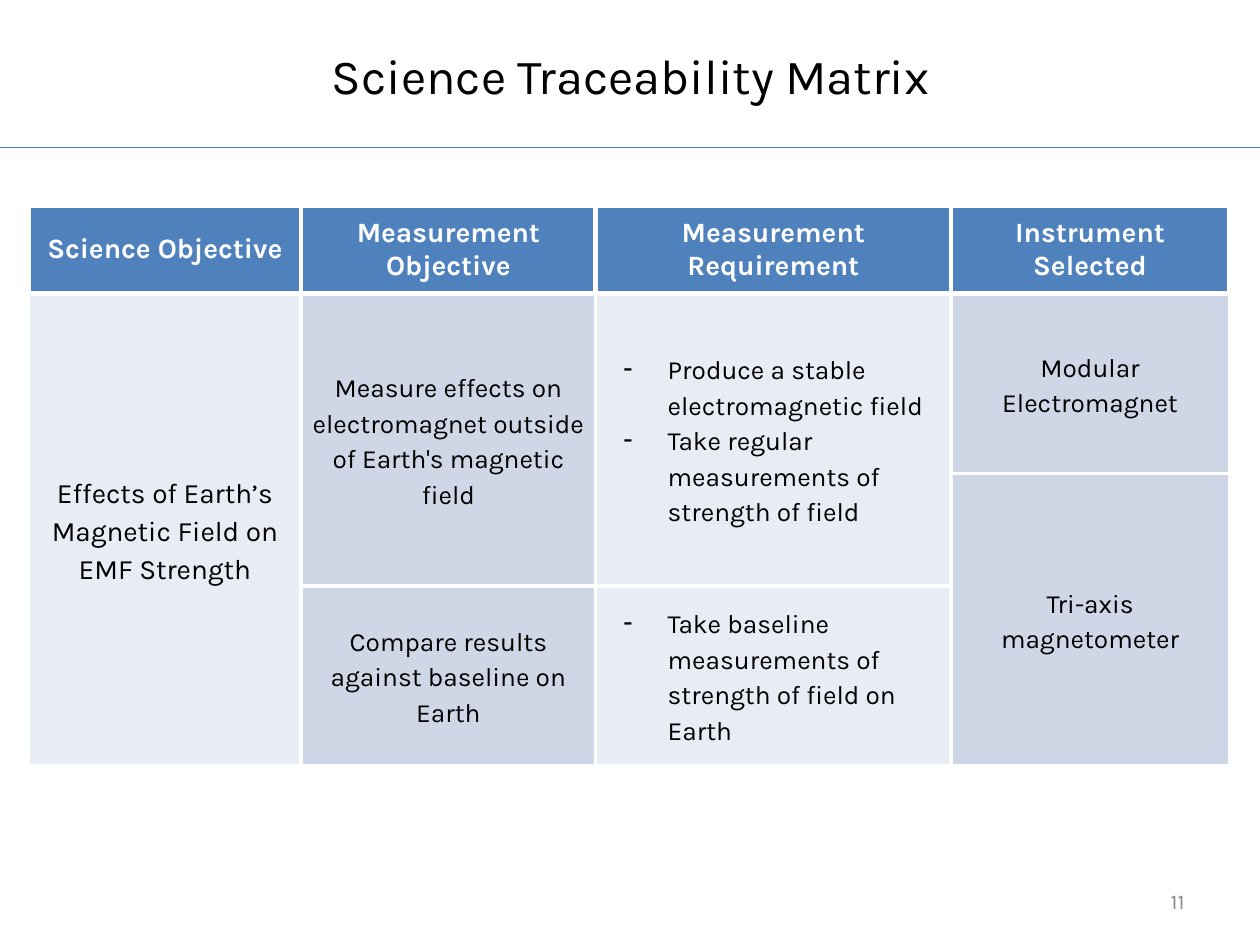
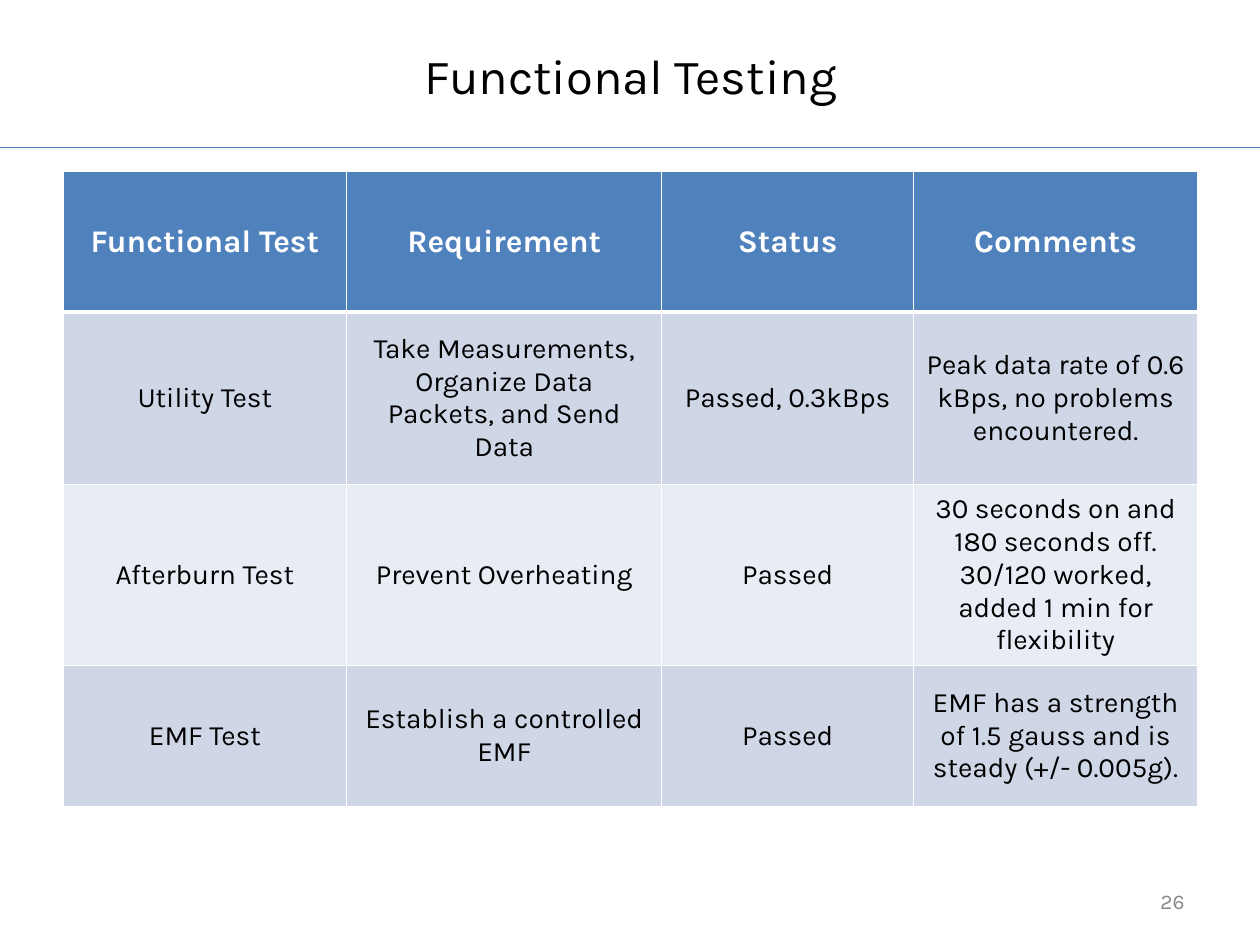
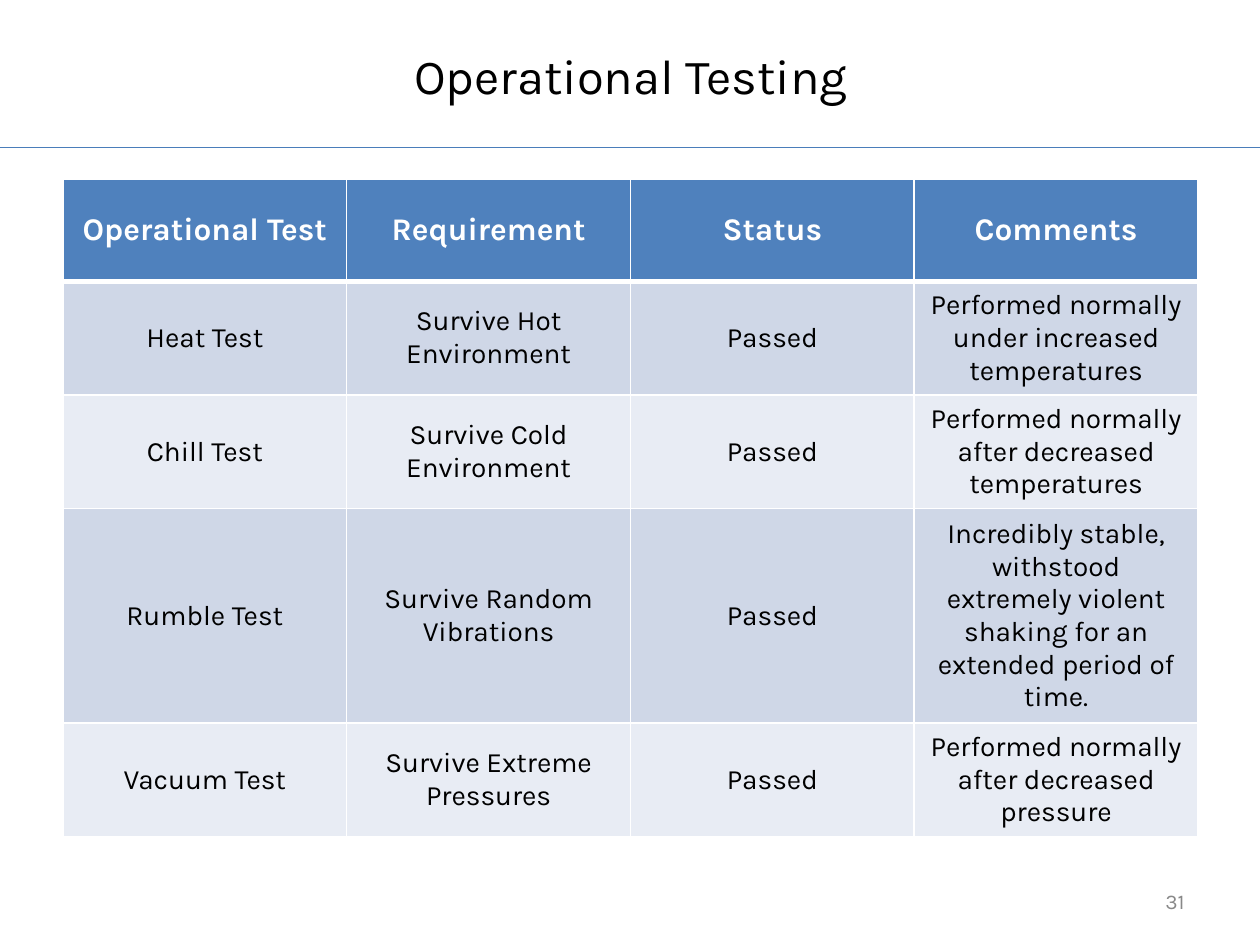
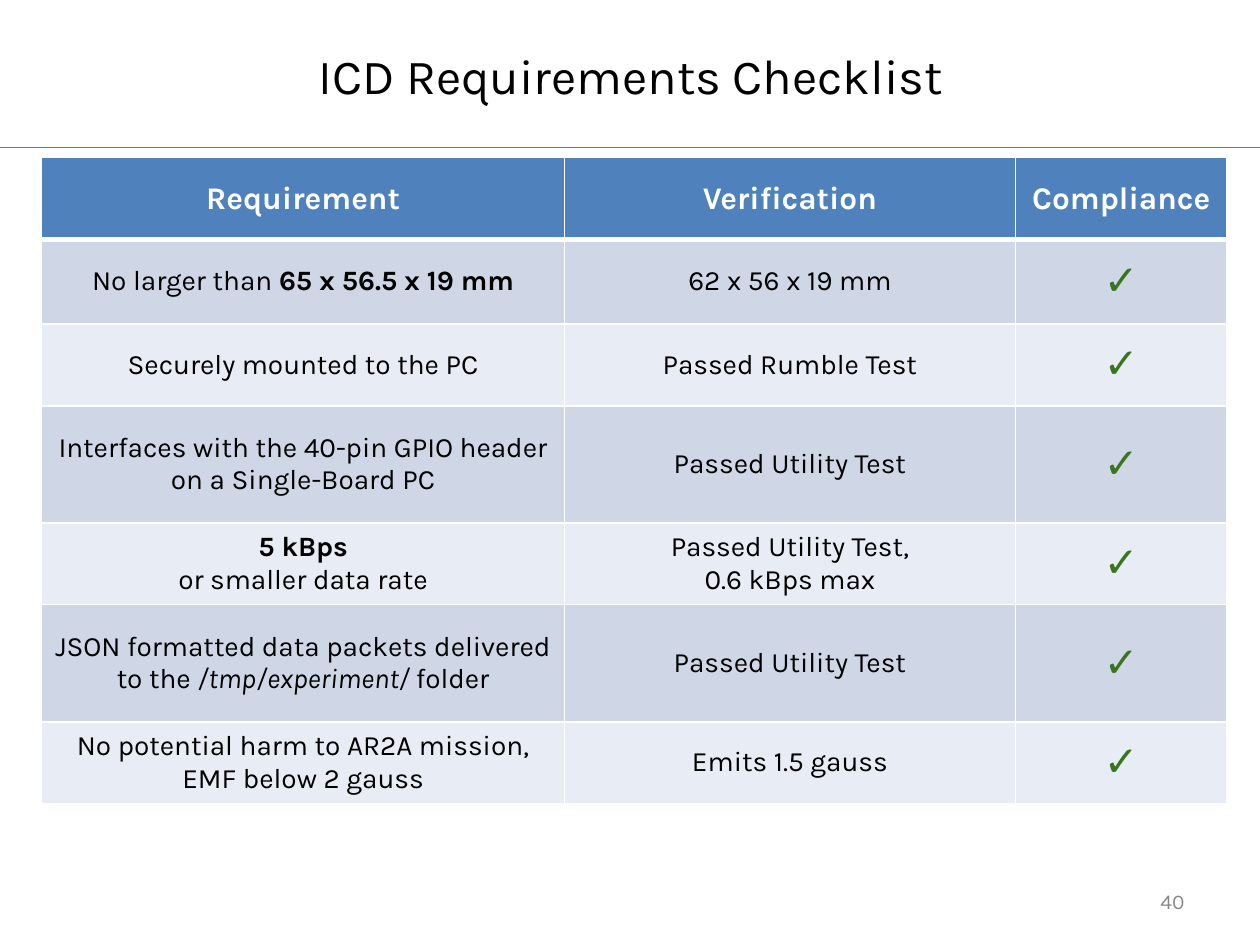
from dataclasses import dataclass
from typing import Optional

from lxml.etree import SubElement as Sub
from pptx import Presentation
from pptx.dml.color import RGBColor as Rgb
from pptx.enum.shapes import MSO_CONNECTOR as Connector
from pptx.enum.text import MSO_ANCHOR as Anchor, PP_ALIGN as Align
from pptx.oxml import parse_xml
from pptx.oxml.ns import nsdecls, qn
from pptx.util import Cm, Pt


@dataclass(frozen=True)
class Theme:
    font: str = "Karla"
    ink: str = "000000"
    white: str = "FFFFFF"
    grey: str = "888888"
    rule: str = "4A7DBA"
    header: str = "4F81BD"
    tint: str = "CFD7E7"
    pale: str = "E8ECF4"
    green: str = "38761D"
    title_size: float = 28
    number_size: float = 12
    check_size: float = 24
    header_size: float = 18
    body_size: float = 16
    small_size: float = 15
    header_border: float = 3


THEME = Theme()


@dataclass
class Span:
    text: str
    bold: Optional[bool] = None
    italic: bool = False
    size: Optional[float] = None
    color: Optional[str] = None


@dataclass
class Para:
    spans: list
    dash: bool = False


def dashed(text):
    return Para([Span(text)], dash=True)


def as_para(item):
    if isinstance(item, Para):
        return item
    return Para([Span(item) if isinstance(item, str) else item])


def add_dash(para):
    props = para._p.get_or_add_pPr()
    props.set("marL", str(Cm(1.27)))
    props.set("indent", str(Cm(-0.89)))
    Sub(Sub(props, qn("a:buClr")), qn("a:srgbClr"), val=THEME.ink)
    Sub(props, qn("a:buChar"), char="-")


def write_text(frame, content, *, size, color=THEME.ink, bold=False,
               align=Align.CENTER, spacing=None):
    items = content if isinstance(content, list) else [content]
    for index, item in enumerate(map(as_para, items)):
        para = frame.paragraphs[0] if index == 0 else frame.add_paragraph()
        if item.dash:
            add_dash(para)
        para.alignment = Align.LEFT if item.dash else align
        if spacing:
            para.line_spacing = spacing
        for span in item.spans:
            run = para.add_run()
            run.text = span.text
            run.font.name = THEME.font
            run.font.size = Pt(span.size or size)
            run.font.bold = bold if span.bold is None else span.bold
            run.font.italic = span.italic
            run.font.color.rgb = Rgb.from_string(span.color or color)


def add_page(deck, title, number):
    page = deck.slides.add_slide(deck.slide_layouts[5])
    box = page.shapes.title
    box.left, box.top, box.width, box.height = Cm(3.61), Cm(0.18), Cm(18.21), Cm(2.64)
    box.text_frame.vertical_anchor = Anchor.MIDDLE
    write_text(box.text_frame, title, size=THEME.title_size)

    box = page.shapes.add_textbox(Cm(18.21), Cm(17.65), Cm(5.92), Cm(1.02))
    box.text_frame.word_wrap = True
    box.text_frame.vertical_anchor = Anchor.MIDDLE
    write_text(box.text_frame, str(number), size=THEME.number_size,
               color=THEME.grey, align=Align.RIGHT)
    return page


def move_rule_to_layout(page, width):
    rule = page.shapes.add_connector(Connector.STRAIGHT, 0, Cm(2.97), width, Cm(2.97))
    rule.line.color.rgb = Rgb.from_string(THEME.rule)
    rule.line.width = Pt(0.75)
    Sub(rule.element.spPr, qn("a:effectLst"))
    rule.element.nvCxnSpPr.cNvPr.set("id", "20")
    page.slide_layout.shapes.element.append(rule.element)


def set_borders(cell, **widths):
    props = cell._tc.get_or_add_tcPr()
    for index, side in enumerate("LRTB"):
        props.insert(index, parse_xml(
            f'<a:ln{side} {nsdecls("a")} w="{Pt(widths[side])}"><a:solidFill>'
            f'<a:srgbClr val="{THEME.white}"/></a:solidFill></a:ln{side}>'))


def merge_down(table, rows):
    for top, row in enumerate(rows):
        for column, content in enumerate(row):
            bottom = top
            while bottom + 1 < len(rows) and rows[bottom + 1][column] is None:
                bottom += 1
            if content is not None and bottom > top:
                table.cell(top, column).merge(table.cell(bottom, column))


def add_matrix(page, rows, *, left, top, widths, heights, by_column=False,
               header_size=THEME.header_size, body_size=THEME.body_size,
               border=1, header_side=1, margins=(0.25, 0.13), spacing=None):
    table = page.shapes.add_table(
        len(rows), len(widths), Cm(left), Cm(top),
        Cm(sum(widths)), Cm(sum(heights))).table
    table.horz_banding = False
    for column, width in zip(table.columns, widths):
        column.width = Cm(width)
    for row, height in zip(table.rows, heights):
        row.height = Cm(height)
    for r, row in enumerate(rows):
        for c, content in enumerate(row):
            cell = table.cell(r, c)
            header = r == 0
            pale = (c if by_column else r) % 2 == 0
            fill = THEME.header if header else THEME.pale if pale else THEME.tint
            cell.fill.solid()
            cell.fill.fore_color.rgb = Rgb.from_string(fill)
            cell.vertical_anchor = Anchor.MIDDLE
            cell.margin_left = cell.margin_right = Cm(margins[0])
            cell.margin_top = cell.margin_bottom = Cm(margins[1])
            side = header_side if header else border
            set_borders(cell, L=side, R=side,
                        T=THEME.header_border if r == 1 else side,
                        B=THEME.header_border if header else side)
            if content is None:
                continue
            write_text(cell.text_frame, content, bold=header,
                       size=header_size if header else body_size,
                       color=THEME.white if header else THEME.ink,
                       spacing=None if header else spacing)
    merge_down(table, rows)


def add_traceability(page):
    rows = [
        ["Science Objective", "Measurement Objective",
         "Measurement Requirement", "Instrument Selected"],
        [Span("Effects of Earth’s Magnetic Field on EMF Strength", size=THEME.body_size),
         "Measure effects on electromagnet outside of Earth's magnetic field",
         [dashed("Produce a stable electromagnetic field"),
          dashed("Take regular measurements of strength of field")],
         "Modular Electromagnet"],
        [None, None, None, "Tri-axis magnetometer"],
        [None, "Compare results against baseline on Earth",
         dashed("Take baseline measurements of strength of field on Earth"), None],
    ]
    add_matrix(page, rows, left=0.58, top=4.14,
               widths=[5.49, 5.94, 7.16, 5.61], heights=[1.78, 3.63, 2.26, 3.63],
               by_column=True, header_size=THEME.body_size, body_size=THEME.small_size,
               border=2.25, header_side=3, margins=(0.18, 0), spacing=1.15)


def add_functional_tests(page):
    rows = [
        ["Functional Test", "Requirement", "Status", "Comments"],
        ["Utility Test", "Take Measurements, Organize Data Packets, and Send Data",
         "Passed, 0.3kBps", "Peak data rate of 0.6 kBps, no problems encountered."],
        ["Afterburn Test", "Prevent Overheating", "Passed",
         "30 seconds on and 180 seconds off. 30/120 worked, added 1 min for flexibility"],
        ["EMF Test", "Establish a controlled EMF", "Passed",
         "EMF has a strength of 1.5 gauss and is steady (+/- 0.005g)."],
    ]
    add_matrix(page, rows, left=1.27, top=3.45,
               widths=[5.72, 6.35, 5.08, 5.72], heights=[2.84, 3.48, 2.84, 2.84])


def add_operational_tests(page):
    tests = [
        ("Heat", "Hot Environment", "Performed normally under increased temperatures"),
        ("Chill", "Cold Environment", "Performed normally after decreased temperatures"),
        ("Rumble", "Random Vibrations", "Incredibly stable, withstood extremely violent "
                                        "shaking for an extended period of time."),
        ("Vacuum", "Extreme Pressures", "Performed normally after decreased pressure"),
    ]
    rows = [["Operational Test", "Requirement", "Status", "Comments"]]
    rows += [[f"{name} Test", f"Survive {hazard}", "Passed", comment]
             for name, hazard, comment in tests]
    add_matrix(page, rows, left=1.27, top=3.61,
               widths=[5.72] * 4, heights=[2.06, 2.29, 2.29, 3.48, 2.29])


def add_checklist(page):
    check = Span("✓", bold=True, size=THEME.check_size, color=THEME.green)
    requirements = [
        (Para([Span("No larger than "), Span("65 x 56.5 x 19 mm", bold=True)]),
         "62 x 56 x 19 mm"),
        ("Securely mounted to the PC", "Passed Rumble Test"),
        ("Interfaces with the 40-pin GPIO header on a Single-Board PC",
         "Passed Utility Test"),
        ([Span("5 kBps", bold=True), "or smaller data rate"],
         ["Passed Utility Test,", "0.6 kBps max"]),
        (Para([Span("JSON formatted data packets delivered to the "),
               Span("/tmp/experiment/ ", italic=True), Span("folder")]),
         "Passed Utility Test"),
        ("No potential harm to AR2A mission, EMF below 2 gauss", "Emits 1.5 gauss"),
    ]
    rows = [["Requirement", "Verification", "Compliance"]]
    rows += [[need, proof, check] for need, proof in requirements]
    add_matrix(page, rows, left=0.84, top=3.18, widths=[10.54, 9.09, 4.27],
               heights=[1.65, 1.7, 1.65, 2.36, 1.65, 2.36, 1.65])


def main():
    deck = Presentation()
    deck.slide_width, deck.slide_height = Cm(25.4), Cm(19.05)
    contents = [
        ("Science Traceability Matrix", 11, add_traceability),
        ("Functional Testing", 26, add_functional_tests),
        ("Operational Testing", 31, add_operational_tests),
        ("ICD Requirements Checklist", 40, add_checklist),
    ]
    for title, number, add_content in contents:
        page = add_page(deck, title, number)
        add_content(page)
    move_rule_to_layout(page, deck.slide_width)
    deck.save("out.pptx")


if __name__ == "__main__":
    main()
